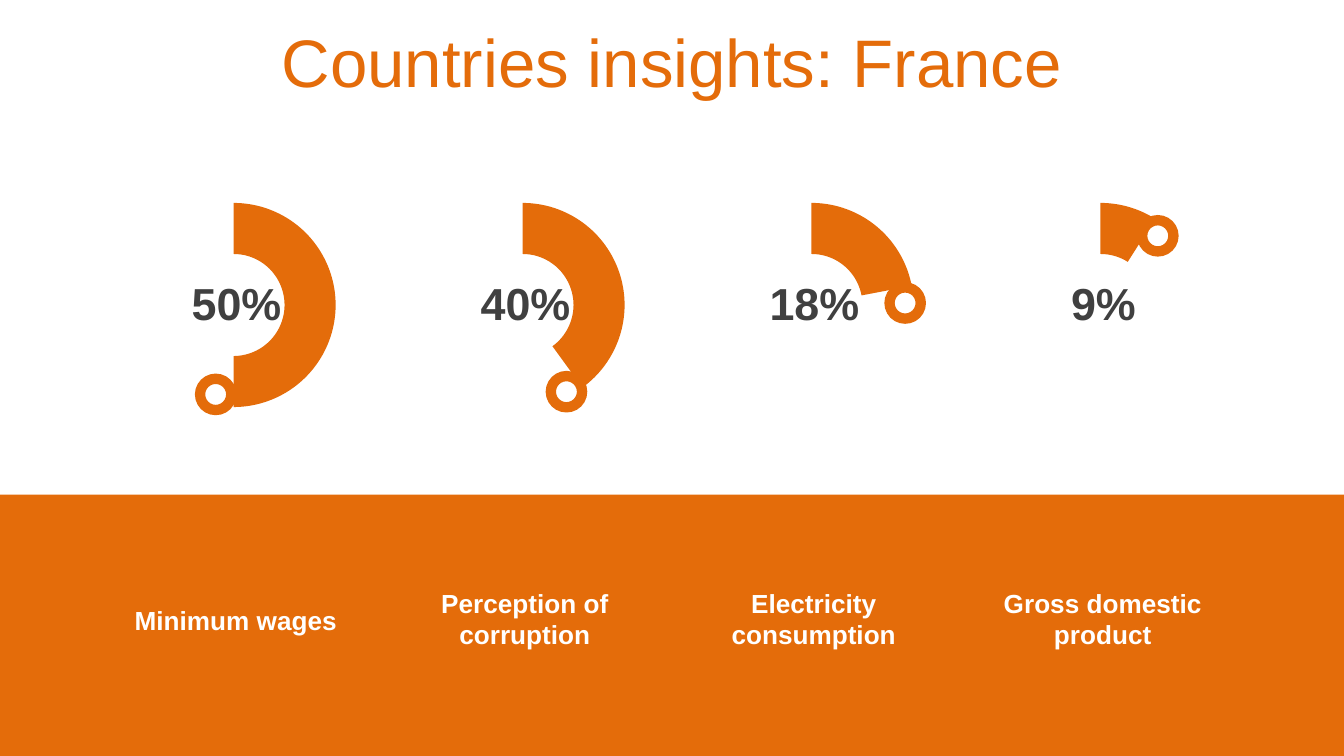
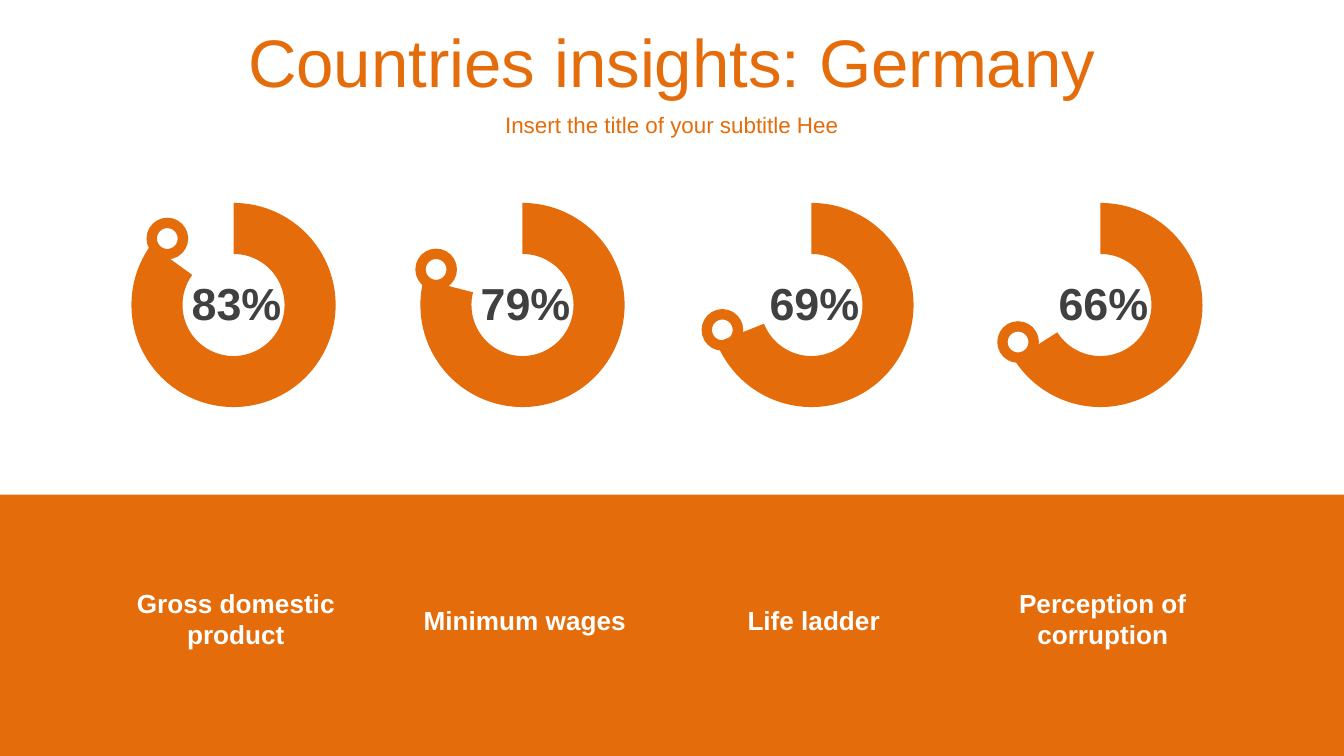
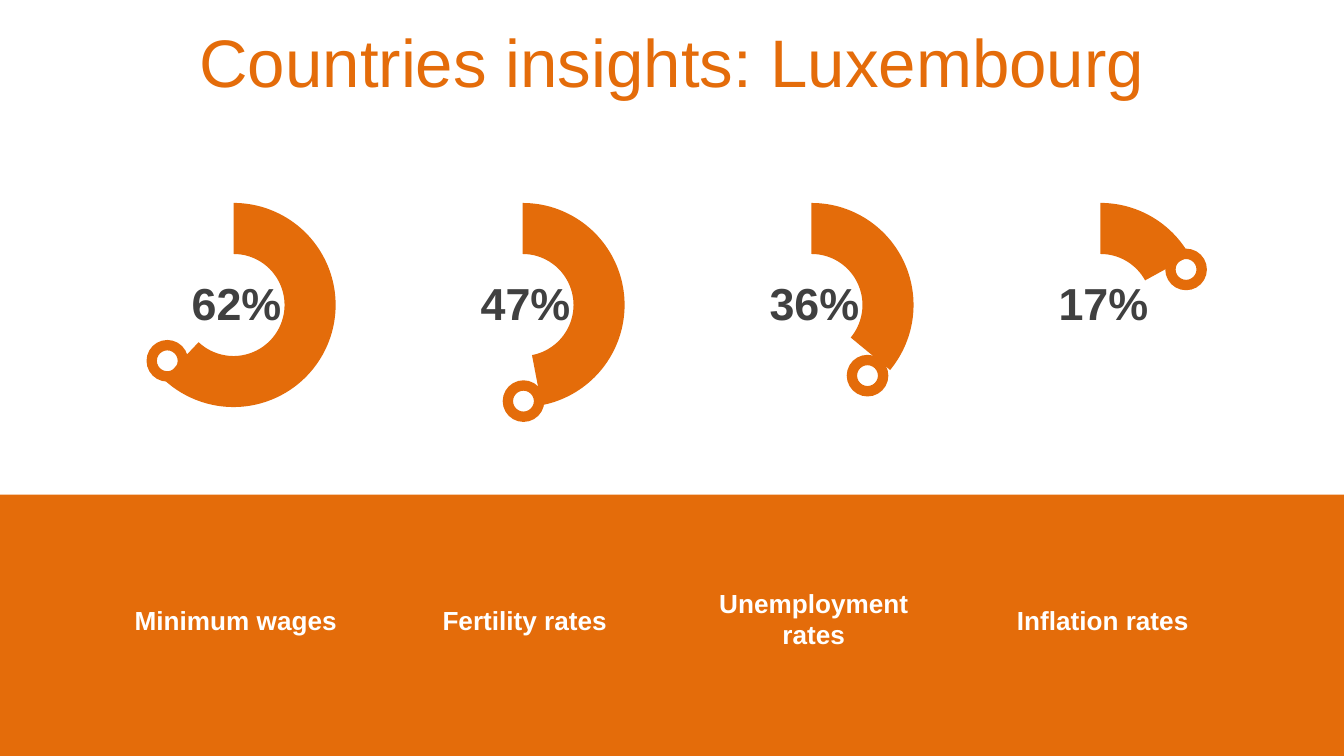
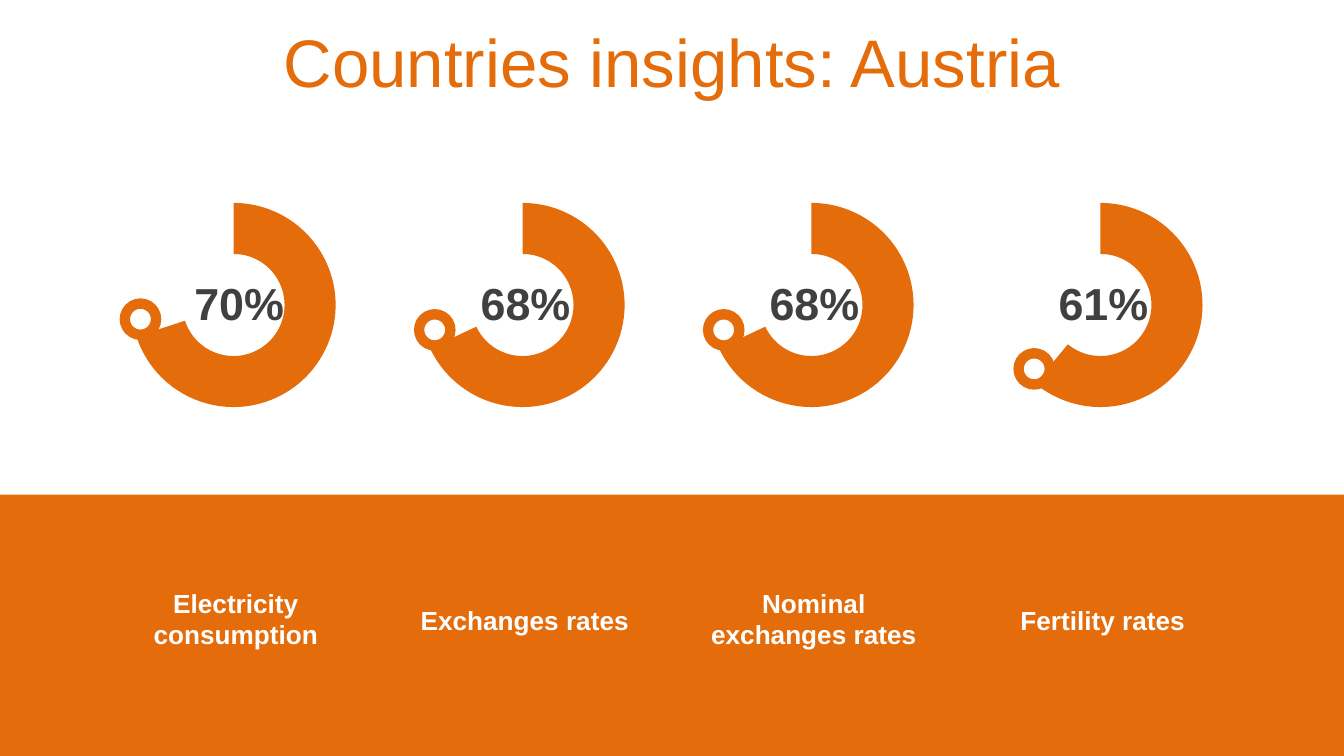
"""Build four country insight slides, each with a row of percentage rings over a label band."""
from typing import NamedTuple

from pptx import Presentation
from pptx.chart.data import CategoryChartData
from pptx.dml.color import RGBColor
from pptx.enum.chart import XL_CHART_TYPE as ChartType
from pptx.enum.shapes import MSO_SHAPE as Preset
from pptx.enum.text import MSO_ANCHOR as Anchor, MSO_AUTO_SIZE as AutoSize, PP_ALIGN as Align
from pptx.oxml import parse_xml
from pptx.oxml.ns import nsdecls
from pptx.util import Inches, Pt

COLORS = {"accent": "E46C0A", "number": "404040", "label": "FFFFFF", "chart": "000000"}
FONT = "Arial"
SLIDE_WIDTH = 10
SLIDE_HEIGHT = SLIDE_WIDTH * 9 / 16
COLUMN_STEP = 2.15
RING_LEFT, NUMBER_LEFT, LABEL_LEFT = 0.91, 1.09, 0.81
LONGEST_SINGLE_LINE = 15
PLOT_LAYOUT = {"x": 0.04, "y": 0, "w": 0.9, "h": 1}


class Metric(NamedTuple):
    label: str
    shown: int
    knob: tuple
    plotted: int | None = None
    shift: float = 0


COUNTRIES = [
    ("France", None, [
        Metric("Minimum wages", 50, (1.45, 2.78)),
        Metric("Perception of corruption", 40, (4.06, 2.76)),
        Metric("Electricity consumption", 18, (6.58, 2.1), plotted=22),
        Metric("Gross domestic product", 9, (8.46, 1.6)),
    ]),
    ("Germany", "Insert the title of your subtitle Hee", [
        Metric("Gross domestic product", 83, (1.09, 1.62), plotted=85),
        Metric("Minimum wages", 79, (3.09, 1.85)),
        Metric("Life ladder", 69, (5.22, 2.3)),
        Metric("Perception of corruption", 66, (7.42, 2.39)),
    ]),
    ("Luxembourg", None, [
        Metric("Minimum wages", 62, (1.09, 2.53)),
        Metric("Fertility rates", 47, (3.74, 2.83)),
        Metric("Unemployment rates", 36, (6.3, 2.64)),
        Metric("Inflation rates", 17, (8.67, 1.85)),
    ]),
    ("Austria", None, [
        Metric("Electricity consumption", 70, (0.89, 2.22), shift=0.02),
        Metric("Exchanges rates", 68, (3.08, 2.3)),
        Metric("Nominal exchanges rates", 68, (5.23, 2.3)),
        Metric("Fertility rates", 61, (7.54, 2.59)),
    ]),
]


def color(name):
    return RGBColor.from_string(COLORS[name])


class InsightDeck:
    def __init__(self):
        self.deck = Presentation()
        self.deck.slide_width = Inches(SLIDE_WIDTH)
        self.deck.slide_height = Inches(SLIDE_HEIGHT)
        self.slide = None

    def start_slide(self):
        self.slide = self.deck.slides.add_slide(self.deck.slide_layouts[6])
        self.shape(Preset.RECTANGLE, 0, 3.68, SLIDE_WIDTH, 1.97)

    def shape(self, preset, left, top, width, height):
        figure = self.slide.shapes.add_shape(
            preset, Inches(left), Inches(top), Inches(width), Inches(height))
        figure.shadow.inherit = False
        figure.fill.solid()
        figure.fill.fore_color.rgb = color("accent")
        figure.line.fill.background()

    def text(self, words, left, top, width, height, *, size, tint, bold=False, grow=False):
        box = self.slide.shapes.add_textbox(
            Inches(left), Inches(top), Inches(width), Inches(height))
        frame = box.text_frame
        frame.word_wrap = True
        frame.auto_size = AutoSize.SHAPE_TO_FIT_TEXT if grow else AutoSize.NONE
        frame.vertical_anchor = Anchor.MIDDLE
        paragraph = frame.paragraphs[0]
        paragraph.alignment = Align.CENTER
        run = paragraph.add_run()
        run.text = words
        run.font.name = FONT
        run.font.size = Pt(size)
        run.font.bold = bold
        run.font.color.rgb = color(tint)

    def ring(self, offset, percent):
        shares = CategoryChartData()
        shares.categories = ["1", "2"]
        shares.add_series("Series 1", (percent, 100 - percent))
        chart = self.slide.shapes.add_chart(
            ChartType.DOUGHNUT, Inches(RING_LEFT + offset), Inches(1.51),
            Inches(1.69), Inches(1.52), shares).chart
        chart.has_legend = False
        chart.has_title = False
        chart.font.name = FONT
        chart.font.size = Pt(18)
        chart.font.color.rgb = color("chart")
        plot = chart.plots[0]
        plot.vary_by_categories = True
        filled, rest = (plot.series[0].points[i].format for i in range(2))
        filled.fill.solid()
        filled.fill.fore_color.rgb = color("accent")
        rest.fill.background()
        for part in (filled, rest):
            part.line.fill.background()
        self.arrange_plot(chart)

    def arrange_plot(self, chart):
        area = chart._chartSpace.xpath("c:chart/c:plotArea")[0]
        area.xpath(".//c:holeSize")[0].set("val", "80")
        for old in area.xpath("c:layout"):
            area.remove(old)
        sides = "".join(f'<c:{side} val="{value}"/>' for side, value in PLOT_LAYOUT.items())
        area.insert(0, parse_xml(
            f'<c:layout {nsdecls("c")}><c:manualLayout><c:layoutTarget val="inner"/>'
            f'<c:xMode val="edge"/><c:yMode val="edge"/>{sides}</c:manualLayout></c:layout>'))

    def number(self, offset, metric):
        self.text(f"{metric.shown}%", NUMBER_LEFT + offset + metric.shift, 2, 1.34, 0.5,
                  size=24, tint="number", bold=True, grow=True)

    def label(self, offset, words):
        top, height = (4.32, 0.57) if len(words) > LONGEST_SINGLE_LINE else (4.44, 0.34)
        self.text(words, LABEL_LEFT + offset, top, 1.89, height,
                  size=14, tint="label", bold=True, grow=True)

    def country(self, name, subtitle, metrics):
        self.start_slide()
        columns = [(i * COLUMN_STEP, metric) for i, metric in enumerate(metrics)]
        for offset, metric in columns:
            self.ring(offset, metric.plotted or metric.shown)
        self.text(f"Countries insights: {name}", 0, 0.14, SLIDE_WIDTH, 0.63,
                  size=36, tint="accent")
        if subtitle:
            self.text(subtitle, 0, 0.77, SLIDE_WIDTH, 0.31, size=12, tint="accent")
        for offset, metric in columns:
            self.number(offset, metric)
            self.shape(Preset.DONUT, *metric.knob, 0.31, 0.31)
            self.label(offset, metric.label)


def main():
    insights = InsightDeck()
    for name, subtitle, metrics in COUNTRIES:
        insights.country(name, subtitle, metrics)
    insights.deck.save("out.pptx")


if __name__ == "__main__":
    main()
